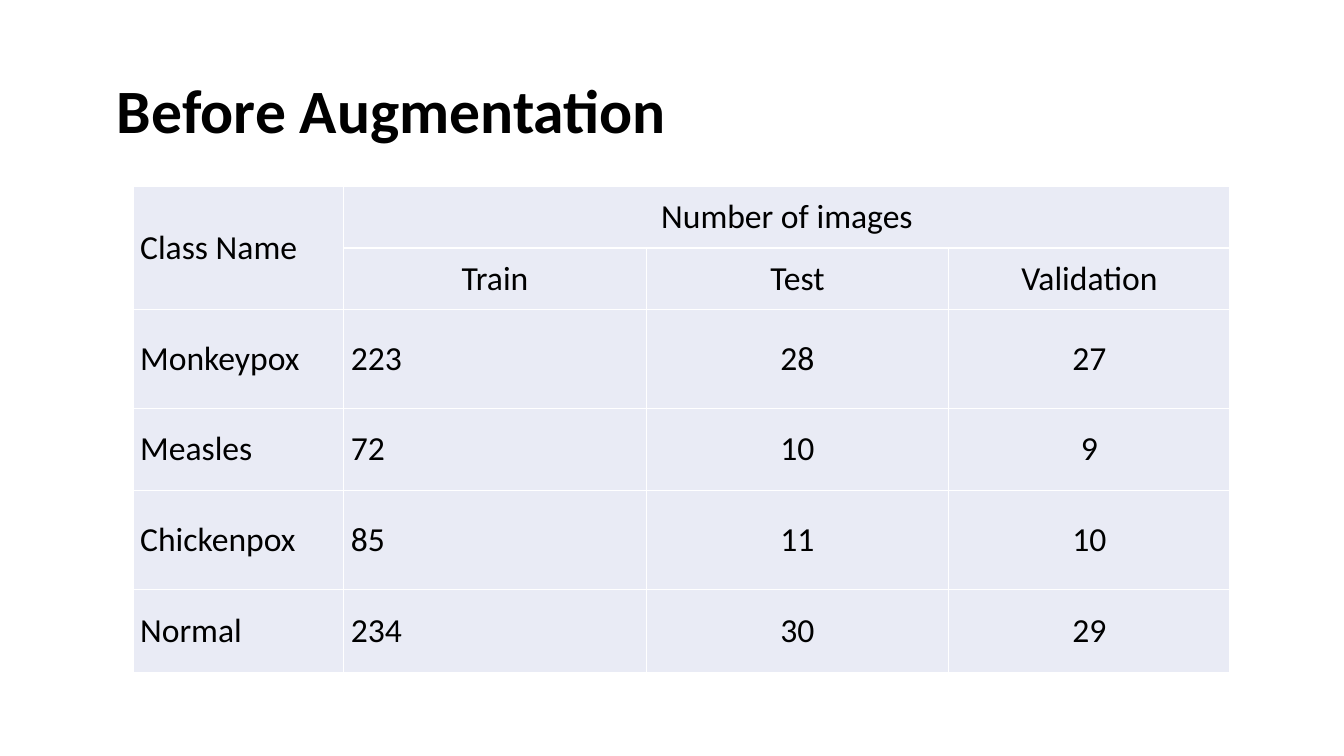
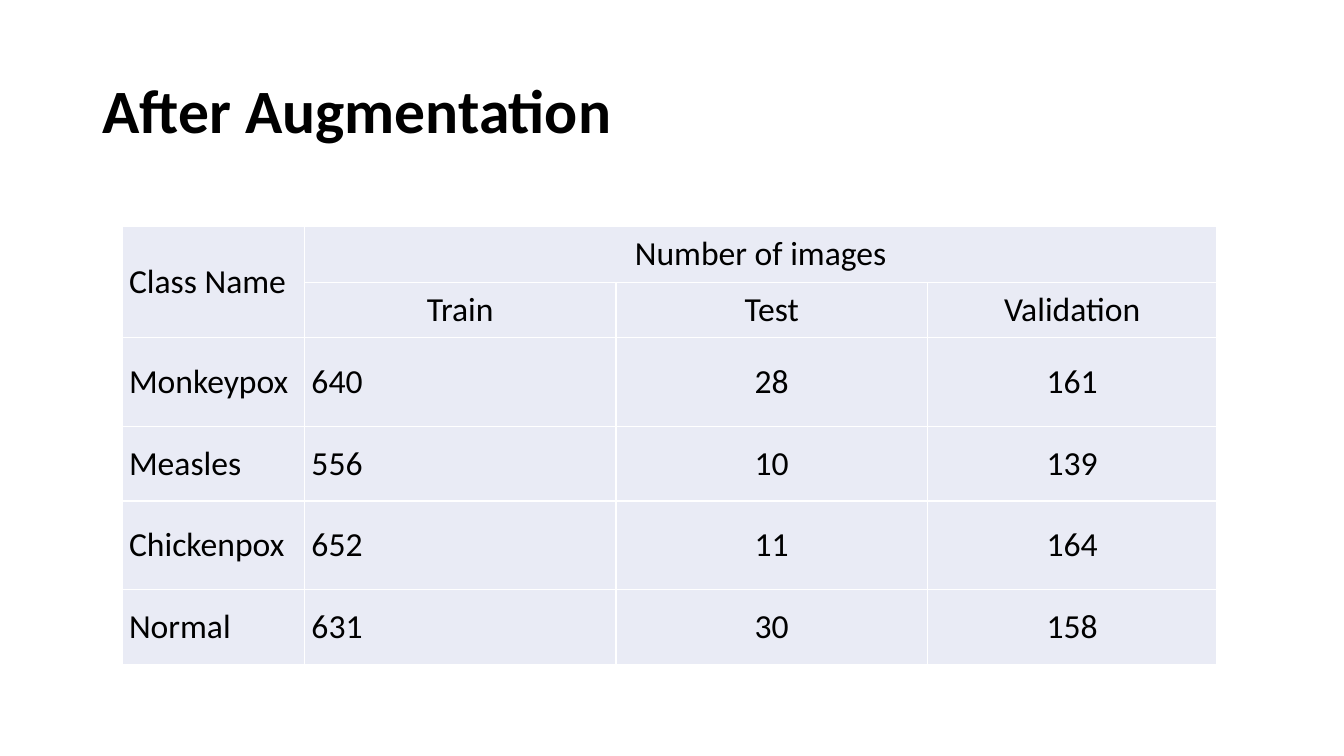
import pptx
import pptx.dml.color
import pptx.enum.text
import pptx.oxml
import pptx.oxml.ns
import pptx.util

Inches = pptx.util.Inches
ALIGN = pptx.enum.text.PP_ALIGN
MIDDLE = pptx.enum.text.MSO_ANCHOR.MIDDLE


def color(value):
    return pptx.dml.color.RGBColor.from_string(value)


def set_attributes(target, values):
    for name, value in values.items():
        setattr(target, name, value)


class Deck:
    FONT = "Calibri"
    TEXT = "000000"
    CELL_FILL = "E9EBF5"
    BORDER = "FFFFFF"
    CELL_FORMAT = {
        "margin_left": Inches(0.07),
        "margin_right": Inches(0.07),
        "margin_top": 0,
        "margin_bottom": 0,
        "vertical_anchor": MIDDLE,
    }

    def __init__(self):
        self.presentation = pptx.Presentation()
        self.presentation.slide_width = Inches(13.33)
        self.presentation.slide_height = Inches(7.5)
        self.slide = None

    def add_slide(self):
        self.slide = self.presentation.slides.add_slide(self.presentation.slide_layouts[6])

    def add_text(self, paragraph, text, size, bold=False):
        run = paragraph.add_run()
        run.text = text
        set_attributes(run.font, {"name": self.FONT, "size": pptx.util.Pt(size), "bold": bold})
        run.font.color.rgb = color(self.TEXT)

    def title(self, text, inset=0.1):
        shape = self.slide.shapes.add_textbox(Inches(0.92), Inches(0.4), Inches(11.5), Inches(1.45))
        set_attributes(shape.text_frame, {
            "word_wrap": True,
            "vertical_anchor": MIDDLE,
            "margin_left": Inches(inset),
        })
        paragraph = shape.text_frame.paragraphs[0]
        paragraph.line_spacing = 0.9
        self.add_text(paragraph, text, 44, bold=True)

    def borders(self, cell):
        properties = cell._tc.get_or_add_tcPr()
        for index, side in enumerate(("lnL", "lnR", "lnT", "lnB")):
            properties.insert(index, pptx.oxml.parse_xml(
                f'<a:{side} {pptx.oxml.ns.nsdecls("a")} w="{pptx.util.Pt(1)}">'
                f'<a:solidFill><a:srgbClr val="{self.BORDER}"/></a:solidFill></a:{side}>'
            ))

    def cell(self, cell, text, alignment):
        set_attributes(cell, self.CELL_FORMAT)
        cell.fill.solid()
        cell.fill.fore_color.rgb = color(self.CELL_FILL)
        self.borders(cell)
        paragraph = cell.text_frame.paragraphs[0]
        paragraph.alignment = alignment
        if text:
            self.add_text(paragraph, text, 24)

    def table(self, left, top, widths, heights, rows):
        shape = self.slide.shapes.add_table(
            len(rows), len(widths), Inches(left), Inches(top),
            Inches(sum(widths)), Inches(sum(heights)),
        )
        table = shape.table
        for column, width in zip(table.columns, widths):
            column.width = Inches(width)
        for row, height in zip(table.rows, heights):
            row.height = Inches(height)
        for row_index, values in enumerate(rows):
            for column_index, value in enumerate(values):
                justified = column_index == 0 or (column_index == 1 and row_index > 1)
                alignment = ALIGN.JUSTIFY if justified else ALIGN.CENTER
                self.cell(table.cell(row_index, column_index), value, alignment)
        table.cell(0, 0).merge(table.cell(1, 0))
        table.cell(0, 1).merge(table.cell(0, len(widths) - 1))

    def image_counts(self, left, top, widths, heights, counts):
        name_width, count_width, last_width = widths
        header_height, tall, short = heights
        rows = [
            ["Class Name", "Number of images", "", ""],
            ["", "Train", "Test", "Validation"],
        ]
        rows += [[name, *map(str, values)] for name, values in counts.items()]
        self.table(
            left, top,
            [name_width, count_width, count_width, last_width],
            [header_height] * 2 + [tall, short] * 2,
            rows,
        )


def main():
    deck = Deck()

    deck.add_slide()
    deck.title("Before Augmentation", inset=0.24)
    deck.image_counts(1.32, 1.85, (2.09, 3, 2.79), (0.61, 0.98, 0.82), {
        "Monkeypox": (223, 28, 27),
        "Measles": (72, 10, 9),
        "Chickenpox": (85, 11, 10),
        "Normal": (234, 30, 29),
    })

    deck.add_slide()
    deck.title("After Augmentation")
    deck.image_counts(1.21, 2.25, (1.81, 3.09, 2.87), (0.55, 0.88, 0.74), {
        "Monkeypox": (640, 28, 161),
        "Measles": (556, 10, 139),
        "Chickenpox": (652, 11, 164),
        "Normal": (631, 30, 158),
    })

    deck.presentation.save("out.pptx")


if __name__ == "__main__":
    main()
